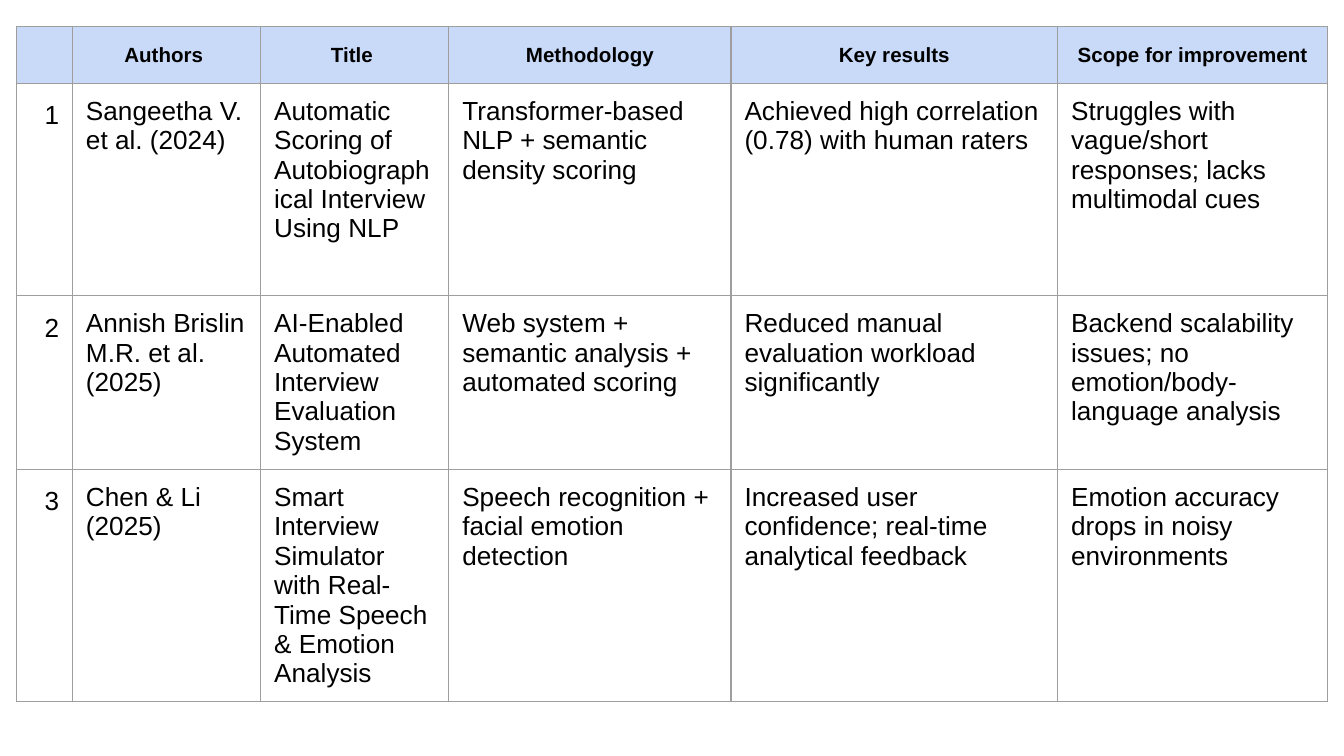
from pptx import Presentation
from pptx.dml.color import RGBColor
from pptx.enum.text import PP_ALIGN
from pptx.oxml.ns import qn
from pptx.util import Inches, Pt
from lxml import etree

LEFT, CENTER, RIGHT = PP_ALIGN.LEFT, PP_ALIGN.CENTER, PP_ALIGN.RIGHT
BLACK = RGBColor(0x00, 0x00, 0x00)
HEADER_BLUE = RGBColor(0xC9, 0xDA, 0xF8)
BORDER_GRAY = RGBColor(0x9E, 0x9E, 0x9E)
GRID_COLS = 1000

COLUMNS = [42, 140, 140, 210, 243, 201]
ROWS = [42, 158, 42, 161]
HEADERS = ["", "Authors ", "Title ", "Methodology", "Key results", "Scope for improvement"]
STUDIES = [
    ["Sangeetha V. et al. (2024)",
     "Automatic Scoring of Autobiographical Interview Using NLP",
     "Transformer-based NLP + semantic density scoring",
     "Achieved high correlation (0.78) with human raters",
     "Struggles with vague/short responses; lacks multimodal cues"],
    ["Annish Brislin M.R. et al. (2025)",
     "AI-Enabled Automated Interview Evaluation System",
     "Web system + semantic analysis + automated scoring",
     "Reduced manual evaluation workload significantly",
     "Backend scalability issues; no emotion/body-language analysis"],
    ["Chen & Li (2025)",
     "Smart Interview Simulator with Real-Time Speech & Emotion Analysis",
     "Speech recognition + facial emotion detection",
     "Increased user confidence; real-time analytical feedback",
     "Emotion accuracy drops in noisy environments"],
]


class Deck:
    """Hold the presentation, its style and the current slide."""

    header = {"name": "Arial", "size": Pt(11), "bold": True}
    body = {"name": "Arial", "size": Pt(14), "bold": False}
    margins = dict.fromkeys(
        ("margin_left", "margin_right", "margin_top", "margin_bottom"), Inches(0.1))

    def __init__(self, width):
        """Create a 16:9 presentation of the given width in inches."""
        self.prs = Presentation()
        self.prs.slide_width = Inches(width)
        self.prs.slide_height = Inches(width * 9 / 16)
        self.s = None

    def add_slide(self):
        """Start a blank slide."""
        self.s = self.prs.slides.add_slide(self.prs.slide_layouts[6])

    def grid(self, units):
        """Convert square grid units to a length."""
        return round(self.prs.slide_width * units / GRID_COLS)

    def borders(self, cell):
        """Draw a thin line on every side of a cell."""
        tcPr = cell._tc.get_or_add_tcPr()
        for side in ("a:lnL", "a:lnR", "a:lnT", "a:lnB"):
            ln = etree.SubElement(tcPr, qn(side), w=str(Pt(0.75)))
            fill = etree.SubElement(ln, qn("a:solidFill"))
            etree.SubElement(fill, qn("a:srgbClr"), val=str(BORDER_GRAY))

    def text(self, cell, text, style, align, spacing):
        """Write formatted text into a cell."""
        for name, value in self.margins.items():
            setattr(cell, name, value)
        p = cell.text_frame.paragraphs[0]
        p.alignment, p.line_spacing = align, spacing
        r = p.add_run()
        r.text = text
        for name, value in style.items():
            setattr(r.font, name, value)
        r.font.color.rgb = BLACK

    def cell(self, cell, text, is_header, is_number):
        """Format one table cell by its role."""
        self.borders(cell)
        if is_header:
            cell.fill.solid()
            cell.fill.fore_color.rgb = HEADER_BLUE
        else:
            cell.fill.background()
        if text:
            style = self.header if is_header else self.body
            align = CENTER if is_header else RIGHT if is_number else LEFT
            spacing = 1.15 if is_header or is_number else 1.0
            self.text(cell, text, style, align, spacing)

    def table(self, left, top, cols, rows, data):
        """Add a table with sizes in grid units."""
        table = self.s.shapes.add_table(
            len(rows), len(cols), self.grid(left), self.grid(top),
            self.grid(sum(cols)), self.grid(sum(rows))).table
        table.horz_banding = False
        for column, width in zip(table.columns, cols):
            column.width = self.grid(width)
        for row, height in zip(table.rows, rows):
            row.height = self.grid(height)
        for i, line in enumerate(data):
            for j, text in enumerate(line):
                self.cell(table.cell(i, j), text, i == 0, j == 0)


def main():
    """Build the literature survey slide."""
    deck = Deck(10)
    deck.add_slide()
    numbered = [[str(n), *study] for n, study in enumerate(STUDIES, 1)]
    deck.table(12, 20, COLUMNS, ROWS, [HEADERS, *numbered])
    deck.prs.save("out.pptx")


if __name__ == "__main__":
    main()
